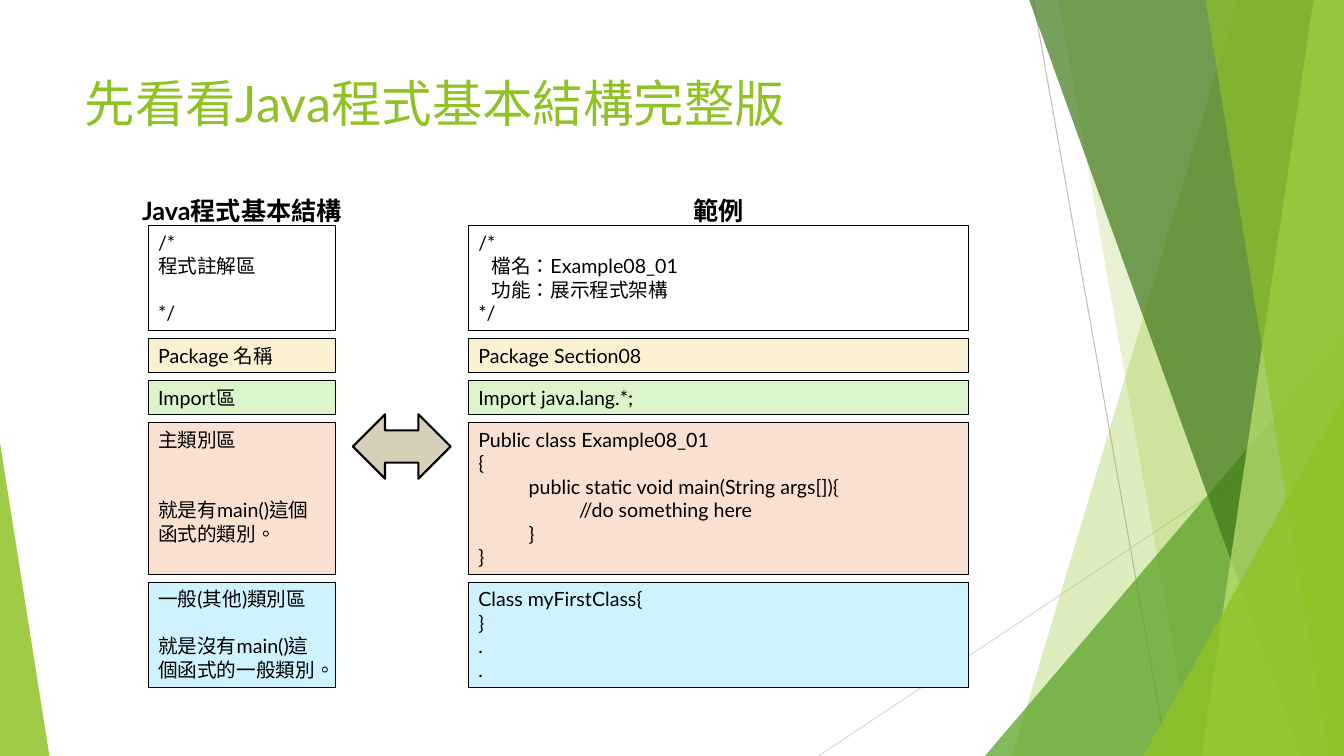
"""Build the slide on the basic structure of a Java program."""
from dataclasses import dataclass

from lxml import etree
from pptx import Presentation
from pptx import util as u
from pptx.dml.color import RGBColor
from pptx.enum import shapes, text
from pptx.oxml.ns import qn

WIDTH, HEIGHT = u.Inches(13.333), u.Inches(7.5)
FONT, LANGUAGE = "Lato", "zh-TW"
BLACK, LEAF = "000000", "90C226"
STACK_TOP, STACK_GAP = 29.87, 1.03
LINE_HEIGHT, BLOCK_PADDING = 3.12, 1.4
LINE_POINTS = 16.8


@dataclass
class Box:
    """A frame in percent of the slide's width and height."""
    left: float
    top: float
    width: float
    height: float

    def emu(self) -> tuple[int, int, int, int]:
        """Return the frame as lengths for a shape."""
        return across(self.left), down(self.top), across(self.width), down(self.height)


@dataclass
class Line:
    """A paragraph and the number of lines left open above it."""
    text: str
    skipped: int = 0


@dataclass
class Section:
    """One part of the program: its colour, height, outline and example."""
    color: str
    lines: int
    outline: list[Line]
    example: list[Line]


@dataclass
class Column:
    """A stack of sections under a heading."""
    heading: str
    heading_width: float
    left: float
    width: float
    field: str


@dataclass
class Shard:
    """A translucent panel reaching the right edge."""
    top_left: float
    bottom_left: float
    color: str
    opacity: int


@dataclass
class Wedge:
    """A translucent right triangle standing on the bottom edge."""
    left: float
    top: float
    width: float
    apex: float
    color: str
    opacity: int


RAYS = [(76.88, 0, 86.85, 100, "BFBFBF"), (100, 53.73, 60.9, 100, "D9D9D9")]
BACKDROP = [
    Shard(92.1, 75.3, LEAF, 30),
    Shard(78.75, 88.73, LEAF, 20),
    Wedge(73.28, 44.4, 26.72, 1, "54A021", 72),
    Shard(76.58, 96.83, "3F7819", 70),
    Shard(97.73, 89.4, "C0E474", 70),
    Shard(89.7, 98.85, LEAF, 65),
    Wedge(85.05, 52.4, 14.95, 1, LEAF, 80),
    Wedge(0, 58.53, 3.68, 0, LEAF, 85),
]
COLUMNS = [
    Column("Java程式基本結構", 17, 11.03, 13.95, "outline"),
    Column("範例", 5.33, 34.85, 37.25, "example"),
]
SECTIONS = [
    Section("FFFFFF", 4,
            [Line("/*"), Line("程式註解區"), Line("*/", 1)],
            [Line("/*"), Line("   檔名：Example08_01"), Line("   功能：展示程式架構"), Line("*/")]),
    Section("FAF1D2", 1, [Line("Package 名稱")], [Line("Package Section08")]),
    Section("DBF4CA", 1, [Line("Import區")], [Line("Import java.lang.*;")]),
    Section("FAE0D1", 6,
            [Line("主類別區"), Line("就是有main()這個函式的類別。", 2)],
            [Line("Public class Example08_01"), Line("{"),
             Line("\tpublic static void main(String args[]){"),
             Line("\t\t//do something here"), Line("\t}"), Line("}")]),
    Section("CEF3FE", 4,
            [Line("一般(其他)類別區"), Line("就是沒有main()這個函式的一般類別。", 1)],
            [Line("Class myFirstClass{"), Line("}"), Line("."), Line(".")]),
]


def across(percent: float) -> int:
    """Turn a share of the slide's width into a length."""
    return round(WIDTH * percent / 100)


def down(percent: float) -> int:
    """Turn a share of the slide's height into a length."""
    return round(HEIGHT * percent / 100)


def rgb(value: str) -> RGBColor:
    """Return the colour of a hex string."""
    return RGBColor.from_string(value)


def style_font(paragraph, size: float, color: str, bold: bool = False) -> None:
    """Set the font of a whole paragraph."""
    font = paragraph.font
    font.name, font.size, font.bold = FONT, u.Pt(size), bold
    font.color.rgb = rgb(color)


def mark_language(shape) -> None:
    """Mark all text of a shape as Traditional Chinese."""
    for run in shape.element.iter(qn("a:r")):
        run.get_or_add_rPr().set("lang", LANGUAGE)


def paint(shape, color: str, opacity: int = 100, border: float = 0) -> None:
    """Fill a shape and give it a black border or none."""
    shape.shadow.inherit = False
    shape.fill.solid()
    shape.fill.fore_color.rgb = rgb(color)
    if opacity < 100:
        tint = shape.element.spPr.find(f"{qn('a:solidFill')}/{qn('a:srgbClr')}")
        etree.SubElement(tint, qn("a:alpha"), val=str(opacity * 1000))
    if border:
        shape.line.color.rgb = rgb(BLACK)
        shape.line.width = u.Pt(border)
    else:
        shape.line.fill.background()


def draw_backdrop(slide) -> None:
    """Draw the thin rays and the green panels."""
    for x1, y1, x2, y2, color in RAYS:
        ray = slide.shapes.add_connector(
            shapes.MSO_CONNECTOR.STRAIGHT, across(x1), down(y1), across(x2), down(y2))
        ray.line.color.rgb = rgb(color)
        ray.line.width = u.Pt(0.75)
        etree.SubElement(ray.element.spPr, qn("a:effectLst"))
    for part in BACKDROP:
        if isinstance(part, Shard):
            outline = slide.shapes.build_freeform(across(part.top_left), 0)
            outline.add_line_segments(
                [(WIDTH, 0), (WIDTH, HEIGHT), (across(part.bottom_left), HEIGHT)])
            panel = outline.convert_to_shape()
        else:
            frame = Box(part.left, part.top, part.width, 100 - part.top)
            panel = slide.shapes.add_shape(shapes.MSO_SHAPE.ISOSCELES_TRIANGLE, *frame.emu())
            panel.adjustments[0] = part.apex
        paint(panel, part.color, part.opacity)


def draw_title(slide) -> None:
    """Place and format the title."""
    title = slide.shapes.title
    title.left, title.top, title.width, title.height = Box(5.55, 8.93, 70.5, 19.2).emu()
    title.text_frame.text = "先看看Java程式基本結構完整版"
    title.text_frame.vertical_anchor = text.MSO_ANCHOR.TOP
    paragraph = title.text_frame.paragraphs[0]
    paragraph.alignment = text.PP_ALIGN.LEFT
    style_font(paragraph, 36, LEAF)
    mark_language(title)


def draw_block(slide, box: Box, color: str, lines: list[Line]) -> None:
    """Draw one bordered section with its text."""
    block = slide.shapes.add_shape(shapes.MSO_SHAPE.RECTANGLE, *box.emu())
    paint(block, color, border=0.75)
    frame = block.text_frame
    frame.word_wrap = True
    frame.vertical_anchor = text.MSO_ANCHOR.TOP
    for index, line in enumerate(lines):
        paragraph = frame.add_paragraph() if index else frame.paragraphs[0]
        paragraph.text = line.text
        paragraph.alignment = text.PP_ALIGN.LEFT
        if line.skipped:
            paragraph.space_before = u.Pt(line.skipped * LINE_POINTS)
        style_font(paragraph, 14, BLACK)
    mark_language(block)


def draw_column(slide, column: Column) -> None:
    """Draw a heading and the stack of sections below it."""
    top = STACK_TOP
    for section in SECTIONS:
        height = BLOCK_PADDING + section.lines * LINE_HEIGHT
        box = Box(column.left, top, column.width, height)
        draw_block(slide, box, section.color, getattr(section, column.field))
        top += height + STACK_GAP
    left = column.left + (column.width - column.heading_width) / 2
    heading = slide.shapes.add_textbox(*Box(left, 25.2, column.heading_width, 5.33).emu())
    heading.text_frame.word_wrap = False
    paragraph = heading.text_frame.paragraphs[0]
    paragraph.text = column.heading
    paragraph.alignment = text.PP_ALIGN.CENTER
    style_font(paragraph, 18, BLACK, bold=True)
    mark_language(heading)


def main() -> None:
    """Build and save the slide."""
    deck = Presentation()
    deck.slide_width, deck.slide_height = WIDTH, HEIGHT
    slide = deck.slides.add_slide(deck.slide_layouts[5])
    draw_backdrop(slide)
    draw_title(slide)
    for column in COLUMNS:
        draw_column(slide, column)
    arrow = slide.shapes.add_shape(
        shapes.MSO_SHAPE.LEFT_RIGHT_ARROW, *Box(26.25, 54.8, 7.28, 8.53).emu())
    paint(arrow, "D6D0B8", border=1.5)
    deck.save("out.pptx")


if __name__ == "__main__":
    main()
